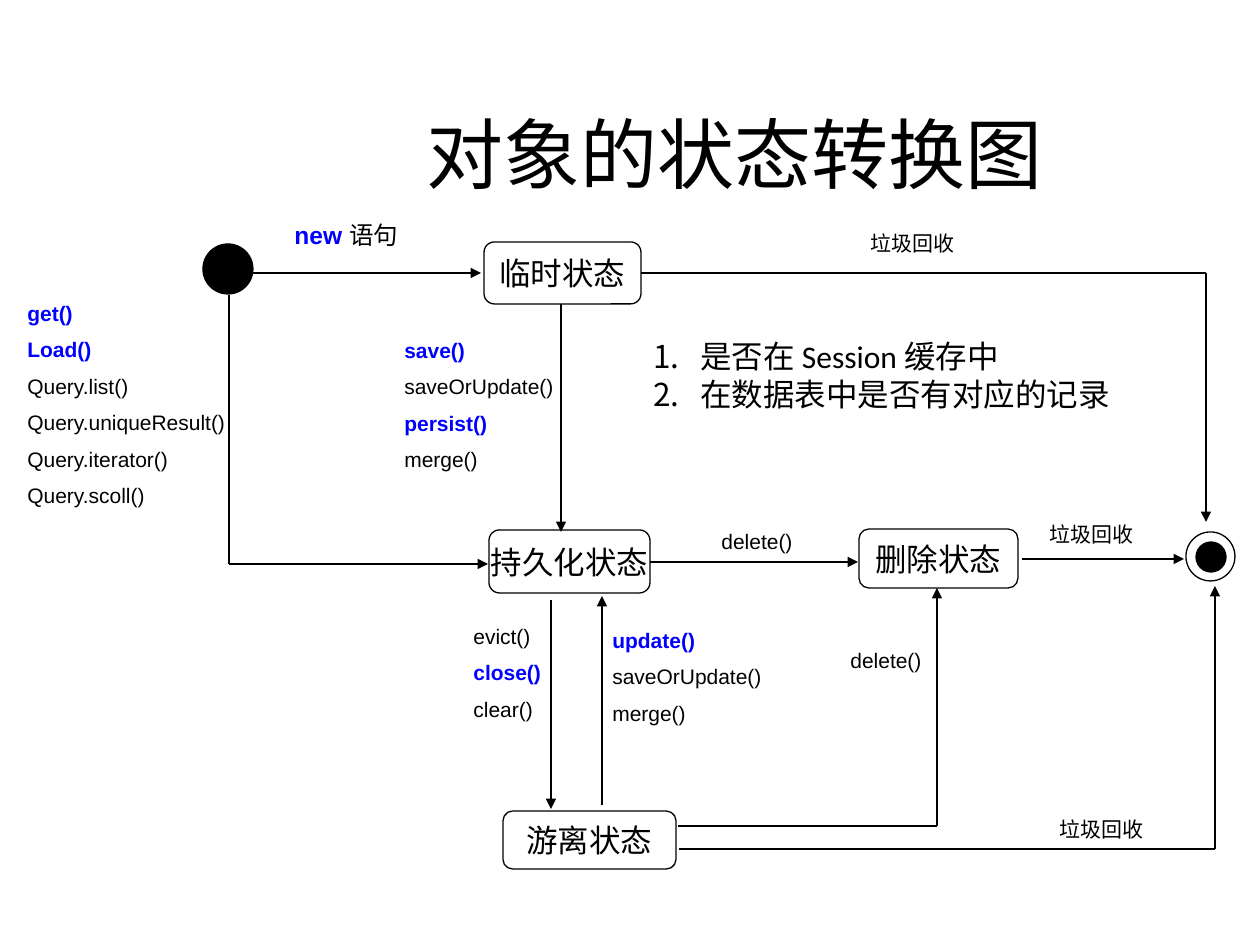
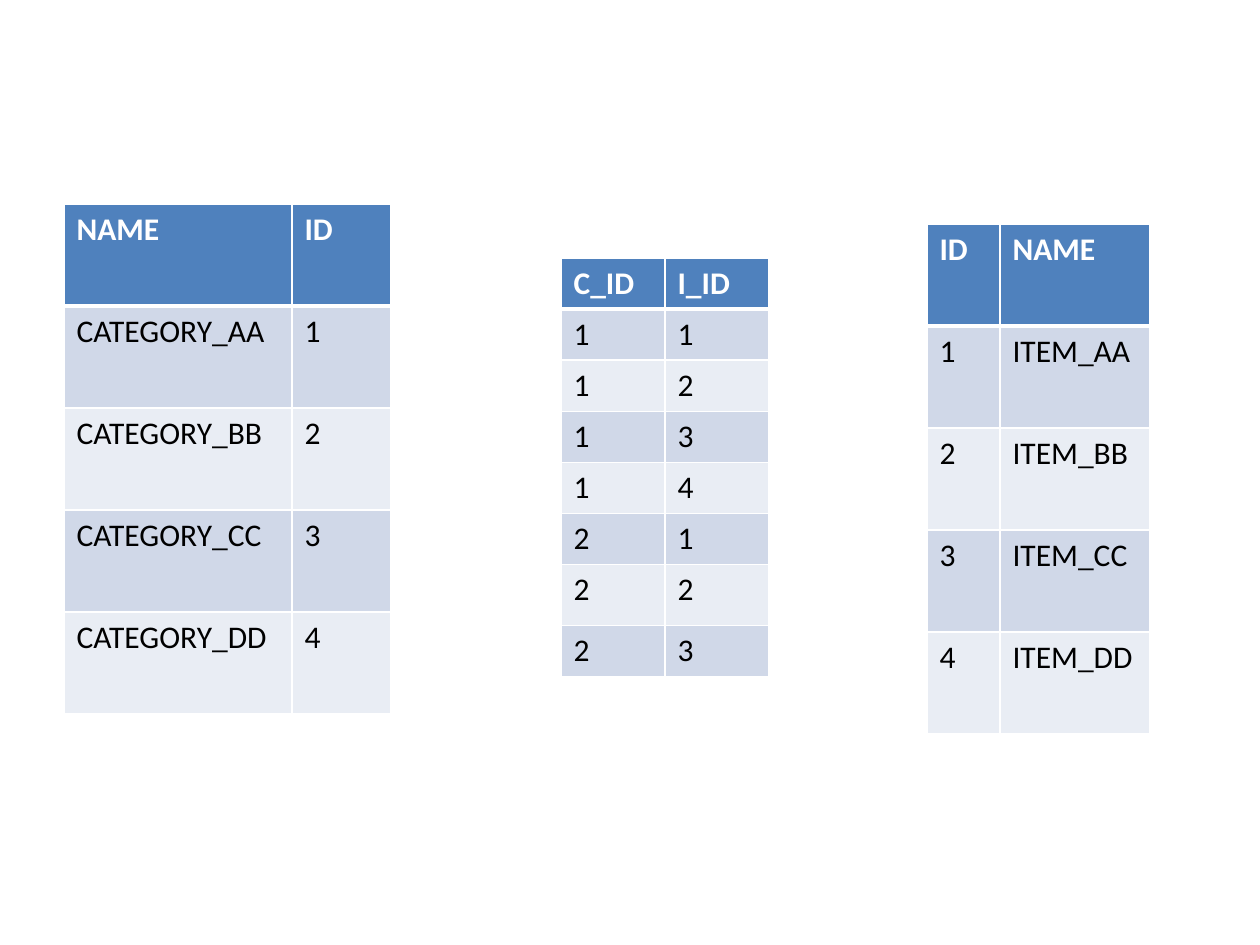
from pptx import Presentation
from pptx.dml.color import RGBColor
from pptx.enum.shapes import MSO_CONNECTOR as Connector, MSO_SHAPE as Shape
from pptx.enum.text import MSO_ANCHOR as Anchor, PP_ALIGN as Align
from pptx.oxml import parse_xml
from pptx.oxml.ns import nsdecls
from pptx.util import Emu, Pt

PX_PER_INCH = 126
COLORS = {
    "ink": "000000", "key": "0000FF", "paper": "FFFFFF",
    "header": "4F81BD", "odd": "D0D8E8", "even": "E9EDF4",
}
KEY_WORDS = {"new ", "get()", "Load()", "save()", "persist()", "close()", "update()"}

STATES = [
    ("临时状态", (484, 42, 157, 62)),
    ("持久化状态", (489, 330, 161, 63)),
    ("游离状态", (503, 611, 173, 58)),
    ("删除状态", (859, 329, 159, 59)),
]
DOTS = [  # box, fill
    ((203, 44, 50, 50), "ink"),
    ((1196, 342, 30, 30), "ink"),
    ((1186, 332, 49, 49), None),
]
ROUTES = [  # corner points; the arrowhead is at the last one
    [(243, 73), (481, 73)],
    [(229, 95), (229, 364), (488, 364)],
    [(561, 104), (561, 332)],
    [(551, 400), (551, 609)],
    [(602, 605), (602, 396)],
    [(650, 362), (858, 362)],
    [(678, 626), (937, 626), (937, 388)],
    [(679, 649), (1215, 649), (1215, 386)],
    [(1022, 359), (1184, 359)],
    [(641, 73), (1206, 73), (1206, 322)],
]
CALLS = [  # "|" separates runs of one line
    (["new |语句"], (282, 14, 169, 42), 14),
    (["get()", "Load()", "Query.list()", "Query.uniqueResult()",
      "Query.iterator()", "Query.scoll()"], (15, 94, 238, 227), 12),
    (["save()", "saveOrUpdate()", "persist()", "merge()"], (392, 131, 188, 151), 12),
    (["evict()", "close()", "clear()"], (461, 417, 110, 113), 12),
    (["update()", "saveOrUpdate()", "merge()"], (600, 421, 179, 115), 12),
    (["delete()"], (838, 441, 110, 38), 12),
    (["delete()"], (709, 322, 110, 38), 12),
    (["垃圾回收"], (858, 24, 139, 38), 12),
    (["垃圾回收"], (1037, 315, 139, 38), 12),
    (["垃圾回收"], (1047, 610, 139, 38), 12),
]
CRITERIA = ["是否在 Session 缓存中", "在数据表中是否有对应的记录"]


def px(length):
    return Emu(round(length * 914400 / PX_PER_INCH))


def rgb(name):
    return RGBColor.from_string(COLORS[name])


def place(box, origin):
    """Turn a box relative to an origin into EMU."""
    left, top, width, height = box
    return px(origin[0] + left), px(origin[1] + top), px(width), px(height)


def write_text(frame, lines, size=18, font="Calibri", color="ink", bold=False,
               align=None, gap=0):
    """Fill a text frame; key words are set in bold blue."""
    for index, line in enumerate(lines):
        paragraph = frame.add_paragraph() if index else frame.paragraphs[0]
        paragraph.alignment = align
        if index and gap:
            paragraph.space_before = Pt(gap)
        for text in line.split("|"):
            is_key = text in KEY_WORDS
            run = paragraph.add_run()
            run.text = text
            run.font.size = Pt(size)
            run.font.name = font
            run.font.bold = bold or is_key
            run.font.color.rgb = rgb("key" if is_key else color)


def add_text(slide, lines, box, origin=(0, 0), anchor=Anchor.TOP, **text_format):
    frame = slide.shapes.add_textbox(*place(box, origin)).text_frame
    frame.word_wrap = True
    frame.vertical_anchor = anchor
    write_text(frame, lines, **text_format)
    return frame


def add_outline(slide, kind, box, origin, fill=None):
    shape = slide.shapes.add_shape(kind, *place(box, origin))
    shape.shadow.inherit = False
    if fill:
        shape.fill.solid()
        shape.fill.fore_color.rgb = rgb(fill)
    else:
        shape.fill.background()
    shape.line.color.rgb = rgb("ink")
    shape.line.width = Pt(0.75)
    return shape


def add_state(slide, name, box, origin):
    frame = add_outline(slide, Shape.ROUNDED_RECTANGLE, box, origin).text_frame
    frame.word_wrap = False
    frame.vertical_anchor = Anchor.MIDDLE
    write_text(frame, [name], align=Align.CENTER)


def add_route(slide, points, origin):
    """Join the points with straight lines and end in an arrowhead."""
    left, top = origin
    for (x1, y1), (x2, y2) in zip(points, points[1:]):
        line = slide.shapes.add_connector(
            Connector.STRAIGHT, px(left + x1), px(top + y1), px(left + x2), px(top + y2))
        line.line.color.rgb = rgb("ink")
        line.line.width = Pt(0.75)
        line._element.spPr.append(parse_xml(f"<a:effectLst {nsdecls('a')}/>"))
    line.line._get_or_add_ln().append(
        parse_xml(f'<a:tailEnd {nsdecls("a")} type="triangle"/>'))


def add_state_diagram(slide, origin):
    for name, box in STATES:
        add_state(slide, name, box, origin)
    for box, fill in DOTS:
        add_outline(slide, Shape.OVAL, box, origin, fill)
    for points in ROUTES:
        add_route(slide, points, origin)
    for lines, box, size in CALLS:
        add_text(slide, lines, box, origin, size=size, font="Arial", gap=6.5)


def add_numbered_list(slide, lines, box):
    frame = add_text(slide, lines, box)
    for paragraph in frame.paragraphs:
        properties = paragraph._p.get_or_add_pPr()
        properties.set("marL", str(px(47)))
        properties.set("indent", str(px(-47)))
        properties.append(
            parse_xml(f'<a:buAutoNum {nsdecls("a")} type="arabicPeriod"/>'))


def set_borders(cell, top, bottom):
    """Draw white cell borders; top and bottom are widths in points."""
    properties = cell._tc.get_or_add_tcPr()
    widths = {"lnL": 1, "lnR": 1, "lnT": top, "lnB": bottom}
    for index, (side, width) in enumerate(widths.items()):
        properties.insert(index, parse_xml(
            f'<a:{side} {nsdecls("a")} w="{Pt(width)}"><a:solidFill>'
            f'<a:srgbClr val="{COLORS["paper"]}"/></a:solidFill></a:{side}>'))


def add_data_table(slide, left, top, widths, heights, rows):
    table = slide.shapes.add_table(
        len(rows), len(widths),
        *place((left, top, sum(widths), sum(heights)), (0, 0))).table
    for column, width in zip(table.columns, widths):
        column.width = px(width)
    for index, (row, height, values) in enumerate(zip(table.rows, heights, rows)):
        row.height = px(height)
        is_header = index == 0
        fill = "header" if is_header else "odd" if index % 2 else "even"
        for cell, value in zip(row.cells, values):
            cell.fill.solid()
            cell.fill.fore_color.rgb = rgb(fill)
            set_borders(cell, top=3 if index == 1 else 1, bottom=3 if is_header else 1)
            write_text(cell.text_frame, [value], bold=is_header,
                       color="paper" if is_header else "ink")


def build_state_slide(slide):
    add_text(slide, ["对象的状态转换图"], (199, 74, 1071, 158), anchor=Anchor.MIDDLE,
             size=44, font="DejaVu Sans Mono", align=Align.CENTER)
    add_state_diagram(slide, (0, 200))
    add_numbered_list(slide, CRITERIA, (641, 331, 495, 89))


def build_tables_slide(slide):
    numbered = [(str(number), letter * 2) for number, letter in enumerate("ABCD", 1)]
    categories = [(f"CATEGORY_{suffix}", number) for number, suffix in numbered]
    items = [(number, f"ITEM_{suffix}") for number, suffix in numbered]
    links = ["11", "12", "13", "14", "21", "22", "23"]
    add_data_table(slide, 561, 258, [104, 104], [49] + [51] * 5 + [61, 51],
                   [("C_ID", "I_ID"), *links])
    add_data_table(slide, 64, 204, [228, 99], [102] * 5, [("NAME", "ID"), *categories])
    add_data_table(slide, 927, 224, [73, 150], [102] * 5, [("ID", "NAME"), *items])


def main():
    presentation = Presentation()
    presentation.slide_width, presentation.slide_height = px(1260), px(945)
    for build in (build_state_slide, build_tables_slide):
        build(presentation.slides.add_slide(presentation.slide_layouts[6]))
    presentation.save("out.pptx")


if __name__ == "__main__":
    main()
